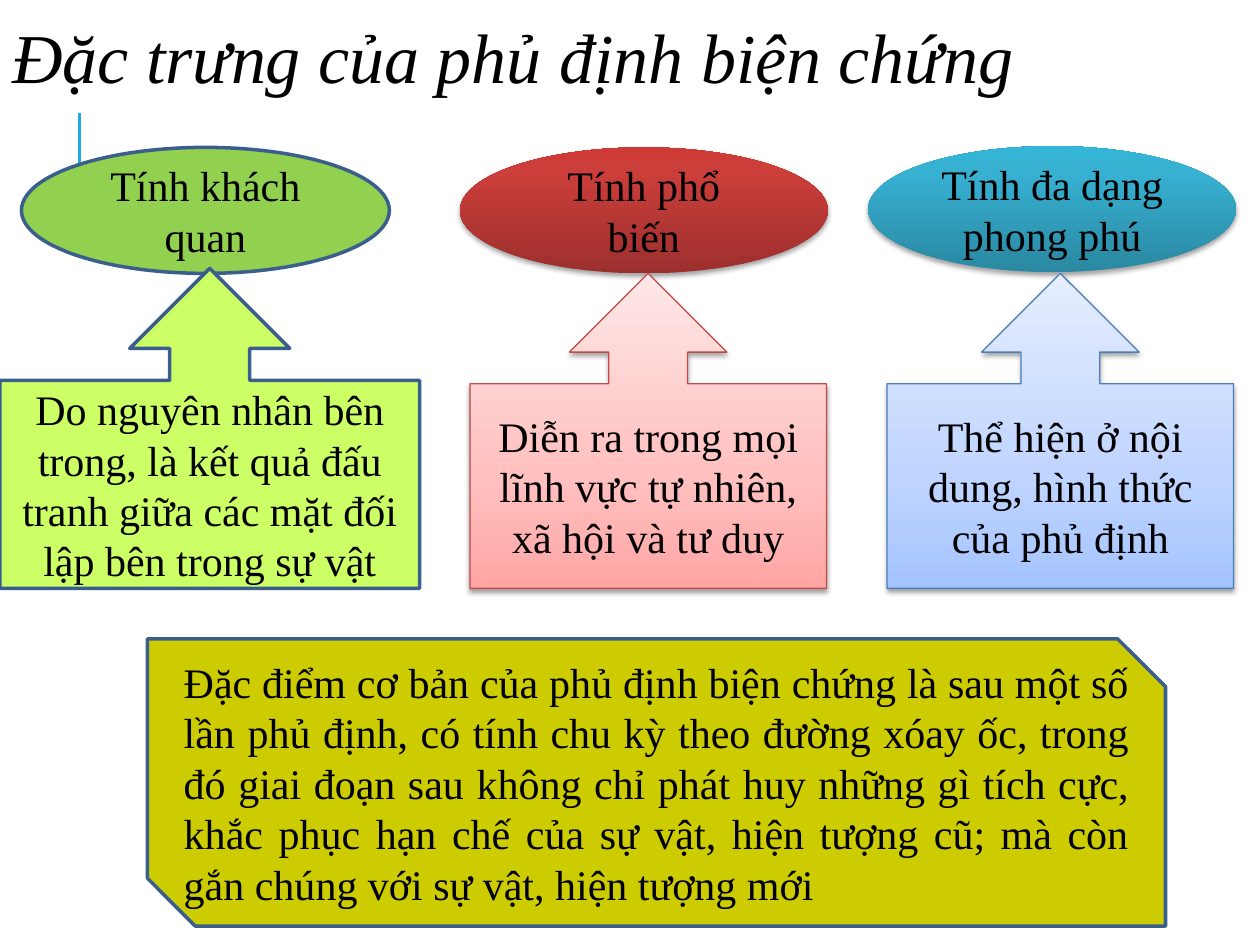
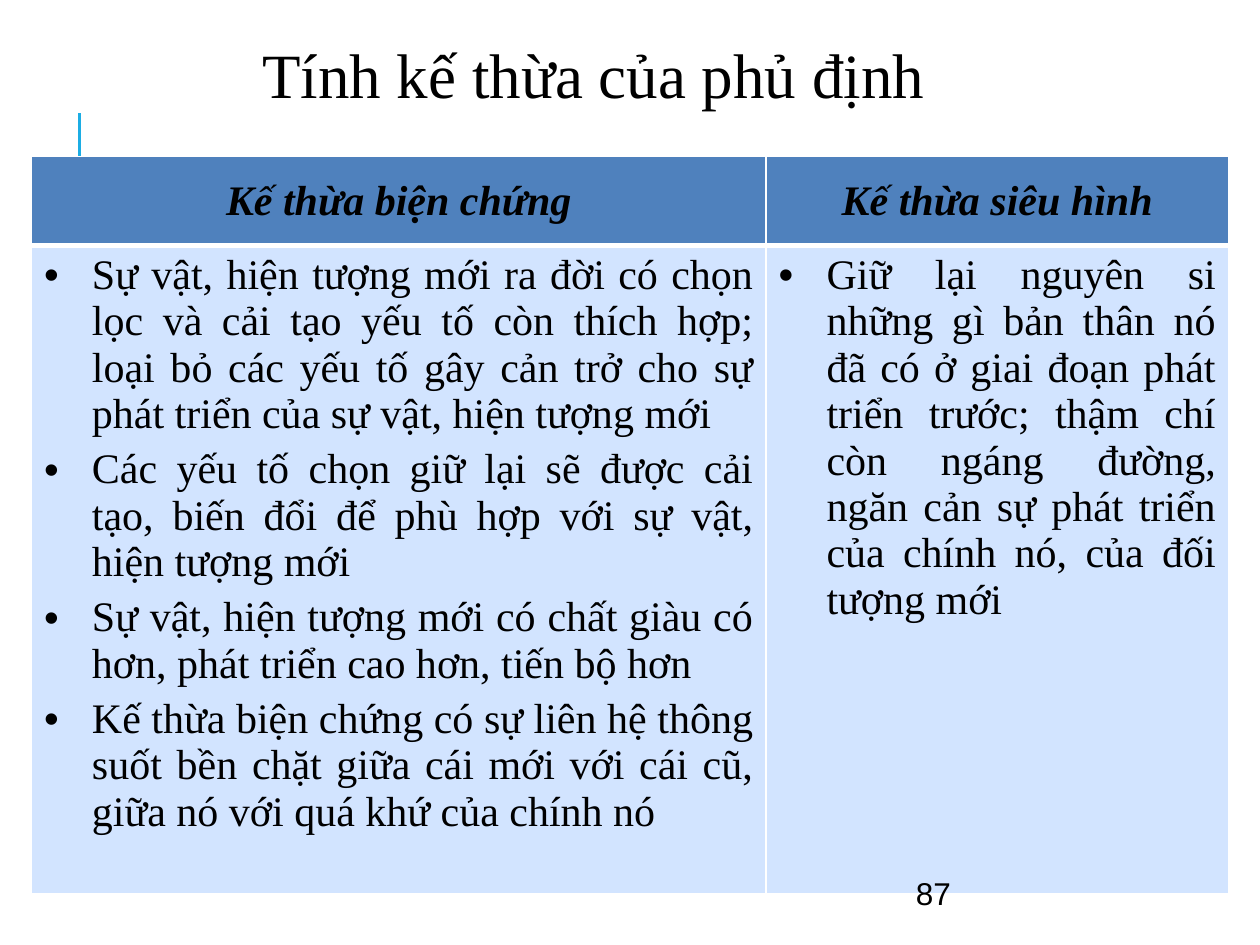
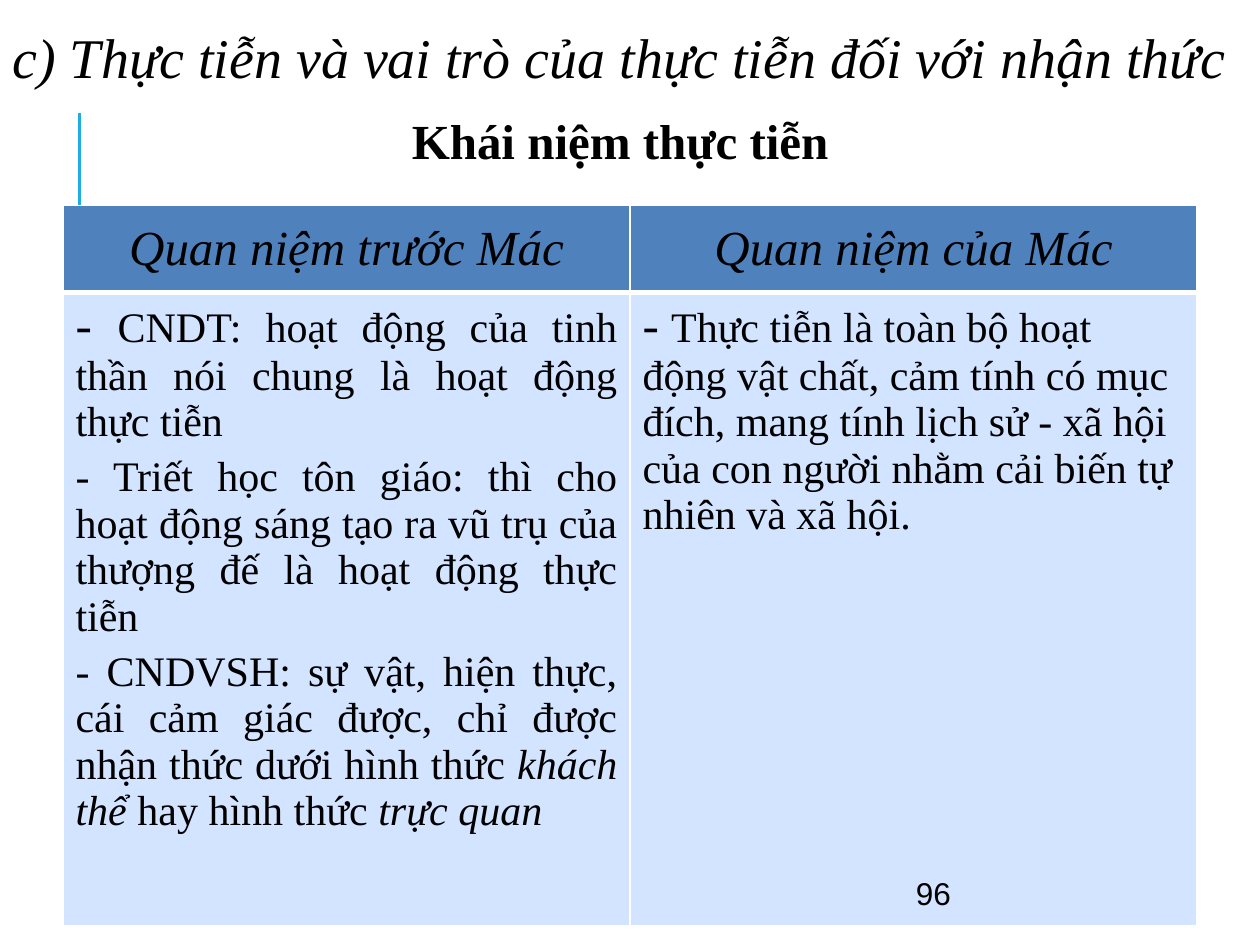
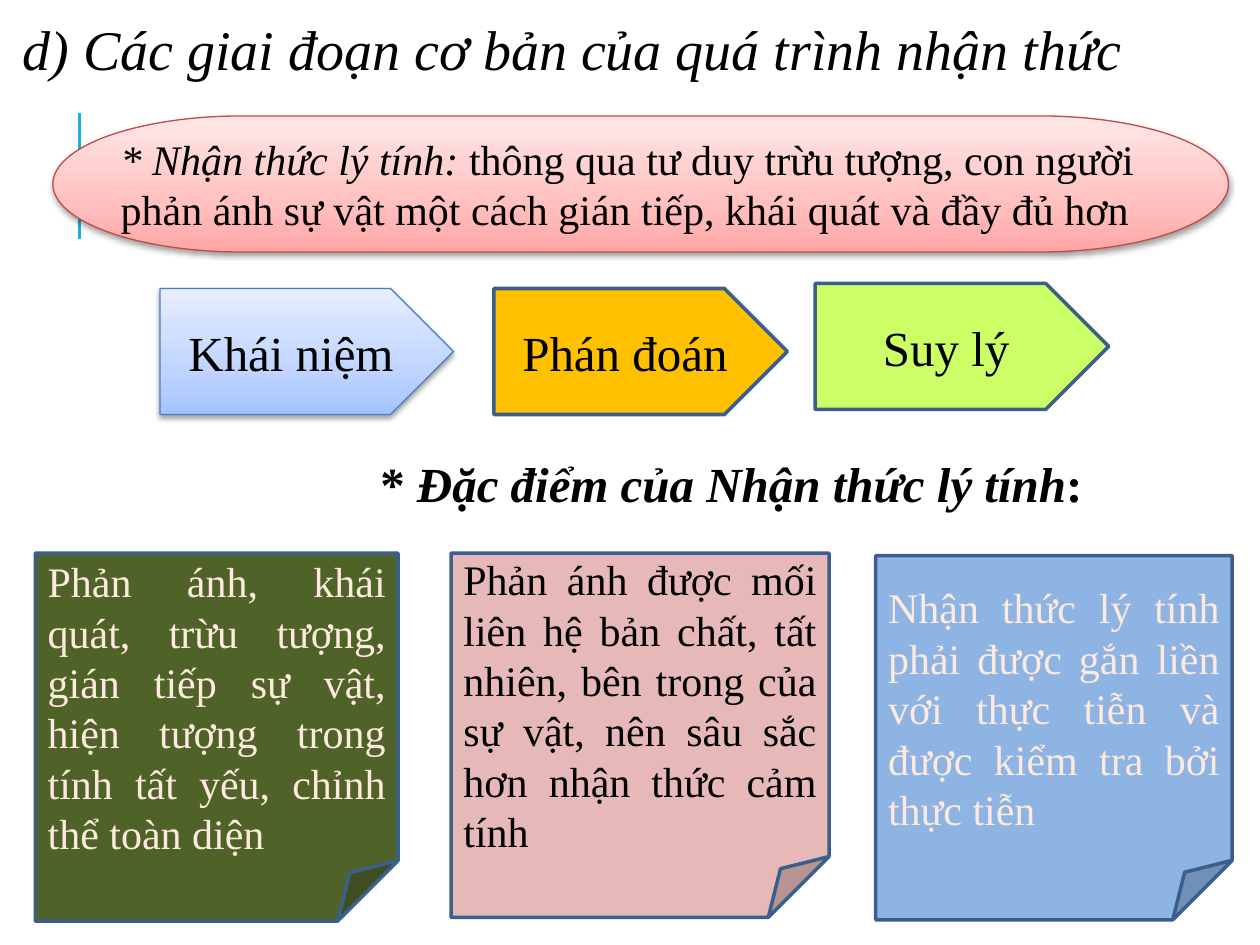
"""Build four slides on dialectical negation and the stages of cognition."""
from lxml.etree import SubElement
from pptx import Presentation
from pptx.dml.color import RGBColor as RGB
from pptx.enum.shapes import MSO_CONNECTOR as CONNECTOR, MSO_SHAPE as SHAPE
from pptx.enum.text import MSO_ANCHOR as ANCHOR, PP_ALIGN as ALIGN
from pptx.oxml.ns import qn
from pptx.util import Inches, Pt

COLORS = {
    "text": "000000", "pale": "FEE9DE", "white": "FFFFFF", "rule": "1CADE4",
    "outline": "3A5F8C", "green": "92D050", "lime": "CCFF66", "olive": "CCCC00",
    "amber": "FFC000", "forest": "4F6228", "pink": "E6B9B8", "sky": "8EB4E3",
    "header": "4F81BD", "body": "D2E4FF", "pink line": "BF4C48", "blue line": "4B7EBC",
}
GRADIENTS = {
    "deep red": [(0, "9C2F2D"), (80, "CB3E3A"), (100, "CE3B37")],
    "deep teal": [(0, "2A88A2"), (80, "37B1D2"), (100, "34B4D6")],
    "soft pink": [(0, "FFA6A5"), (35, "FFC0BF"), (100, "FFE7E7")],
    "soft blue": [(0, "A4C4FF"), (35, "BFD4FF"), (100, "E6EEFF")],
}
GRADIENT_LINES = {"soft pink": "pink line", "soft blue": "blue line"}


def write(frame, text, size=24, color="text", font="Times New Roman", bold=False,
          italic=False, align=ALIGN.LEFT, spacing=None, bullet=False, anchor=ANCHOR.MIDDLE):
    """Fill a frame; text is a string or a list of paragraphs, each a string or a list of (text, format) spans."""
    frame.word_wrap = True
    frame.vertical_anchor = anchor
    for number, content in enumerate([text] if isinstance(text, str) else text):
        para = frame.add_paragraph() if number else frame.paragraphs[0]
        para.alignment = align
        if spacing:
            para.line_spacing = spacing
        if number:
            para.space_before = Pt(5)
        if bullet:
            properties = para._p.get_or_add_pPr()
            properties.set("marL", str(Inches(0.38)))
            properties.set("indent", str(-Inches(0.38)))
            SubElement(properties, qn("a:buFont"), typeface="Arial")
            SubElement(properties, qn("a:buChar"), char="•")
        for words, change in [(content, {})] if isinstance(content, str) else content:
            span = para.add_run()
            span.text = words
            span.font.name = font
            span.font.size = Pt(change.get("size", size))
            span.font.bold = bold
            span.font.italic = change.get("italic", italic)
            span.font.color.rgb = RGB.from_string(COLORS[color])


def add_box(page, place, text, preset=None, fill=None, **style):
    """Add a text box, or a preset shape with a plain or gradient fill."""
    place = [Inches(length) for length in place]
    if preset is None:
        write(page.shapes.add_textbox(*place).text_frame, text, **style)
        return
    box = page.shapes.add_shape(preset, *place)
    box.shadow.inherit = False
    if fill in GRADIENTS:
        box.fill.gradient()
        box.fill.gradient_angle = 90
        stops = box._element.spPr.find(".//" + qn("a:gsLst"))
        stops[:] = []
        for position, shade in GRADIENTS[fill]:
            stop = SubElement(stops, qn("a:gs"), pos=str(position * 1000))
            SubElement(stop, qn("a:srgbClr"), val=shade)
        effects = box._element.spPr.find(qn("a:effectLst"))
        shadow = SubElement(effects, qn("a:outerShdw"), blurRad=str(Pt(3.1)), dist=str(Pt(1.7)),
                            dir="5400000", rotWithShape="0")
        shade = SubElement(shadow, qn("a:srgbClr"), val=COLORS["text"])
        SubElement(shade, qn("a:alpha"), val="37000")
    else:
        box.fill.solid()
        box.fill.fore_color.rgb = RGB.from_string(COLORS[fill])
    if fill in GRADIENTS and fill not in GRADIENT_LINES:
        box.line.fill.background()
    else:
        box.line.color.rgb = RGB.from_string(COLORS[GRADIENT_LINES.get(fill, "outline")])
        box.line.width = Pt(0.75 if fill in GRADIENTS else 2)
    write(box.text_frame, text, **style)


deck = Presentation()
deck.slide_width, deck.slide_height = Inches(10), Inches(7.5)
pages = [deck.slides.add_slide(deck.slide_layouts[6]) for _ in range(4)]
for page in pages:
    rule = page.shapes.add_connector(CONNECTOR.STRAIGHT, Inches(0.63), Inches(1.9), Inches(0.63), Inches(0.9))
    rule.line.color.rgb = RGB.from_string(COLORS["rule"])
    rule.line.width = Pt(1.5)
    SubElement(rule._element.spPr, qn("a:effectLst"))
features_page, inheritance_page, practice_page, stages_page = pages

tables = [
    (inheritance_page, (0.25, 1.24), (5.83, 3.67), (0.71, 5.14),
     dict(bold=True, italic=True),
     ["Kế thừa biện chứng", "Kế thừa siêu hình"],
     [(["Sự vật, hiện tượng mới ra đời có chọn lọc và cải tạo yếu tố còn thích hợp; loại bỏ các yếu tố "
        "gây cản trở cho sự phát triển của sự vật, hiện tượng mới",
        "Các yếu tố chọn giữ lại sẽ được cải tạo, biến đổi để phù hợp với sự vật, hiện tượng mới",
        "Sự vật, hiện tượng mới có chất giàu có hơn, phát triển cao hơn, tiến bộ hơn",
        "Kế thừa biện chứng có sự liên hệ thông suốt bền chặt giữa cái mới với cái cũ, "
        "giữa nó với quá khứ của chính nó"], dict(align=ALIGN.JUSTIFY, bullet=True)),
      ("Giữ lại nguyên si những gì bản thân nó đã có ở giai đoạn phát triển trước; thậm chí còn "
       "ngáng đường, ngăn cản sự phát triển của chính nó, của đối tượng mới",
       dict(align=ALIGN.JUSTIFY, bullet=True))]),
    (practice_page, (0.5, 1.63), (4.5, 4.5), (0.69, 5.03),
     dict(size=28, italic=True),
     ["Quan niệm trước Mác", "Quan niệm của Mác"],
     [([[("- ", dict(size=28)), ("CNDT: hoạt động của tinh thần nói chung là hoạt động thực tiễn", {})],
        "- Triết học tôn giáo: thì cho hoạt động sáng tạo ra vũ trụ của thượng đế là hoạt động thực tiễn",
        [("- CNDVSH: sự vật, hiện thực, cái cảm giác được, chỉ được nhận thức dưới hình thức ", {}),
         ("khách thể ", dict(italic=True)), ("hay hình thức ", {}), ("trực quan", dict(italic=True))]],
       dict(align=ALIGN.JUSTIFY)),
      ([[("- ", dict(size=28)),
         ("Thực tiễn là toàn bộ hoạt động vật chất, cảm tính có mục đích, mang tính lịch sử - xã hội "
          "của con người nhằm cải biến tự nhiên và xã hội.", {})]], {})]),
]
for page, corner, widths, heights, header_style, headers, bodies in tables:
    place = [Inches(length) for length in (*corner, sum(widths), sum(heights))]
    table = page.shapes.add_table(2, 2, *place).table
    for row, height in zip(table.rows, heights):
        row.height = Inches(height)
    for index, width in enumerate(widths):
        table.columns[index].width = Inches(width)
        header, body = table.cell(0, index), table.cell(1, index)
        write(header.text_frame, headers[index], align=ALIGN.CENTER, **header_style)
        write(body.text_frame, bodies[index][0], **bodies[index][1])
        header.vertical_anchor, body.vertical_anchor = ANCHOR.MIDDLE, ANCHOR.TOP
        for cell, fill, thick in [(header, "header", "lnB"), (body, "body", "lnT")]:
            cell.fill.solid()
            cell.fill.fore_color.rgb = RGB.from_string(COLORS[fill])
            properties = cell._tc.get_or_add_tcPr()
            for order, side in enumerate(["lnL", "lnR", "lnT", "lnB"]):
                border = SubElement(properties, qn("a:" + side), w=str(Pt(3 if side == thick else 1)))
                SubElement(SubElement(border, qn("a:solidFill")), qn("a:srgbClr"), val=COLORS["white"])
                properties.insert(order, border)

titles = [
    ((0, 0.02, 9, 0.92), "Đặc trưng của phủ định biện chứng", dict(size=40, italic=True)),
    ((-0.08, 0.27, 9.58, 0.7), "Tính kế thừa của phủ định", dict(size=36, align=ALIGN.CENTER)),
    ((0, 0.02, 10.25, 0.92), "c) Thực tiễn và vai trò của thực tiễn đối với nhận thức", dict(size=32, italic=True)),
    ((0.08, 0, 9.92, 0.83), "d) Các giai đoạn cơ bản của quá trình nhận thức", dict(size=32, italic=True)),
]
for page, (place, title, style) in zip(pages, titles):
    add_box(page, place, title, spacing=0.9, **style)
for page, number in [(inheritance_page, "87"), (practice_page, "96")]:
    add_box(page, (7.17, 6.83, 2.33, 0.52), number, size=18, font="Arial")

features = [
    ((0.17, 1.17), "green", "Tính khách quan", (0, 2.13, 3.33, 2.54), "lime",
     "Do nguyên nhân bên trong, là kết quả đấu tranh giữa các mặt đối lập bên trong sự vật"),
    ((3.65, 1.17), "deep red", "Tính phổ biến", (3.73, 2.17, 2.83, 2.5), "soft pink",
     "Diễn ra trong mọi lĩnh vực tự nhiên, xã hội và tư duy"),
    ((6.89, 1.16), "deep teal", "Tính đa dạng phong phú", (7.04, 2.17, 2.75, 2.5), "soft blue",
     "Thể hiện ở nội dung, hình thức của phủ định"),
]
for corner, fill, name, callout_place, callout_fill, reason in features:
    add_box(features_page, (*corner, 2.92, 1), name, SHAPE.OVAL, fill, align=ALIGN.CENTER)
    add_box(features_page, callout_place, reason, SHAPE.UP_ARROW_CALLOUT, callout_fill, align=ALIGN.CENTER)
add_box(features_page, (1.17, 5.07, 8.08, 2.28),
        "Đặc điểm cơ bản của phủ định biện chứng là sau một số lần phủ định, có tính chu kỳ theo đường "
        "xóay ốc, trong đó giai đoạn sau không chỉ phát huy những gì tích cực, khắc phục hạn chế của "
        "sự vật, hiện tượng cũ; mà còn gắn chúng với sự vật, hiện tượng mới",
        SHAPE.SNIP_2_DIAG_RECTANGLE, "olive", align=ALIGN.JUSTIFY)

add_box(practice_page, (3.17, 0.83, 4.17, 0.57), "Khái niệm thực tiễn", size=28, bold=True, anchor=ANCHOR.TOP)

add_box(stages_page, (0.42, 0.92, 9.33, 1.08),
        [[("* Nhận thức lý tính: ", dict(italic=True)),
          ("thông qua tư duy trừu tượng, con người phản ánh sự vật một cách gián tiếp, "
           "khái quát và đầy đủ hơn", {})]],
        SHAPE.FLOWCHART_TERMINATOR, "soft pink")
forms = [(1.27, 2.29, "soft blue", "Khái niệm"), (3.92, 2.29, "amber", "Phán đoán"), (6.47, 2.25, "lime", "Suy lý")]
for left, top, fill, name in forms:
    add_box(stages_page, (left, top, 2.33, 1), name, SHAPE.PENTAGON, fill, size=28, align=ALIGN.CENTER)
add_box(stages_page, (2.92, 3.55, 5.84, 0.57),
        [[("* ", {}), ("Đặc điểm của Nhận thức lý tính", dict(italic=True)), (":", {})]],
        size=28, bold=True, anchor=ANCHOR.TOP)
notes = [
    ((0.28, 4.39, 2.88, 2.92), "forest", "pale",
     "Phản ánh, khái quát, trừu tượng, gián tiếp sự vật, hiện tượng trong tính tất yếu, chỉnh thể toàn diện"),
    ((3.58, 4.39, 3, 2.89), "pink", "text",
     "Phản ánh được mối liên hệ bản chất, tất nhiên, bên trong của sự vật, nên sâu sắc hơn nhận thức cảm tính"),
    ((6.95, 4.41, 2.83, 2.89), "sky", "pale",
     "Nhận thức lý tính phải được gắn liền với thực tiễn và được kiểm tra bởi thực tiễn"),
]
for place, fill, color, note in notes:
    add_box(stages_page, place, note, SHAPE.FOLDED_CORNER, fill, color=color, align=ALIGN.JUSTIFY)

deck.save("out.pptx")
